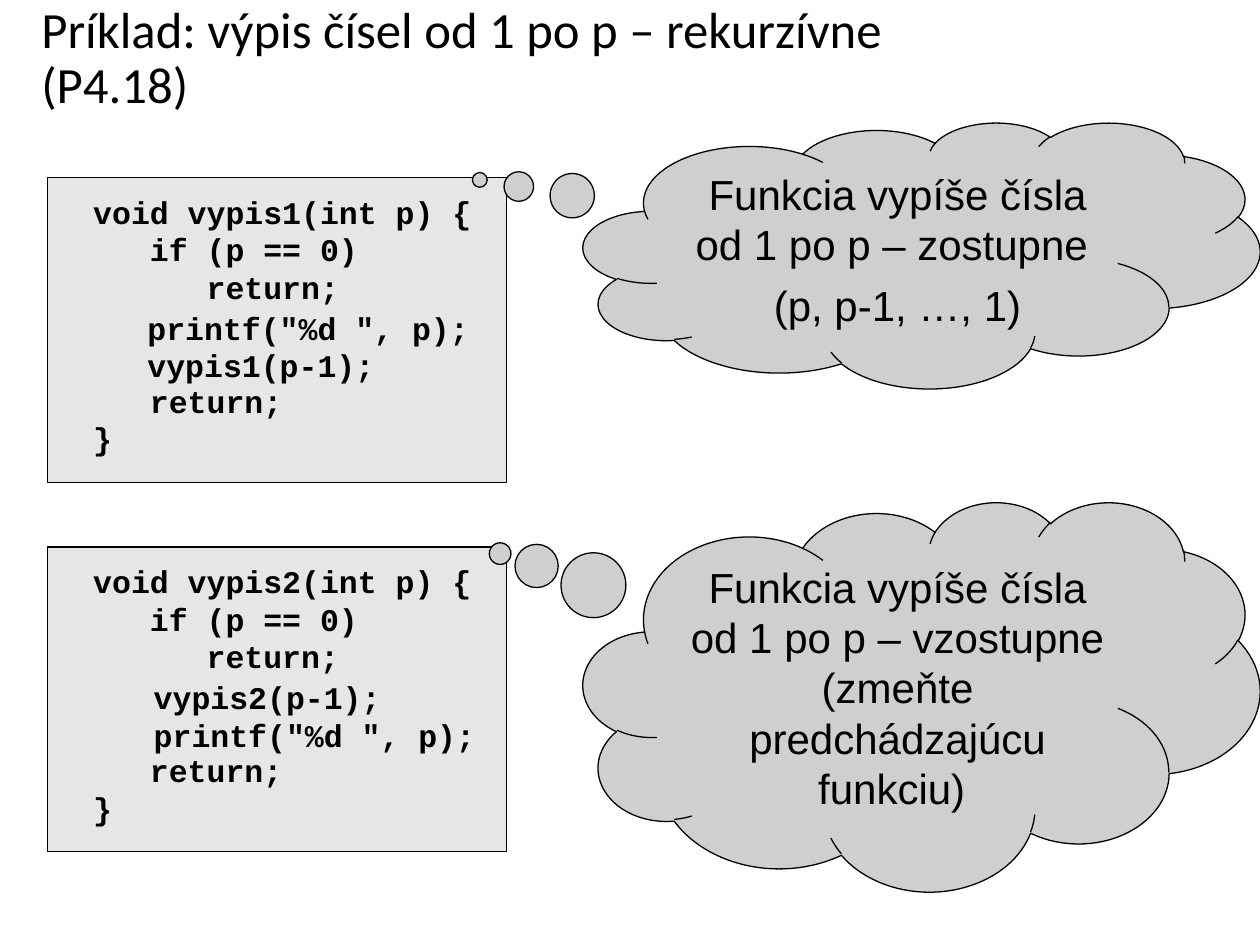
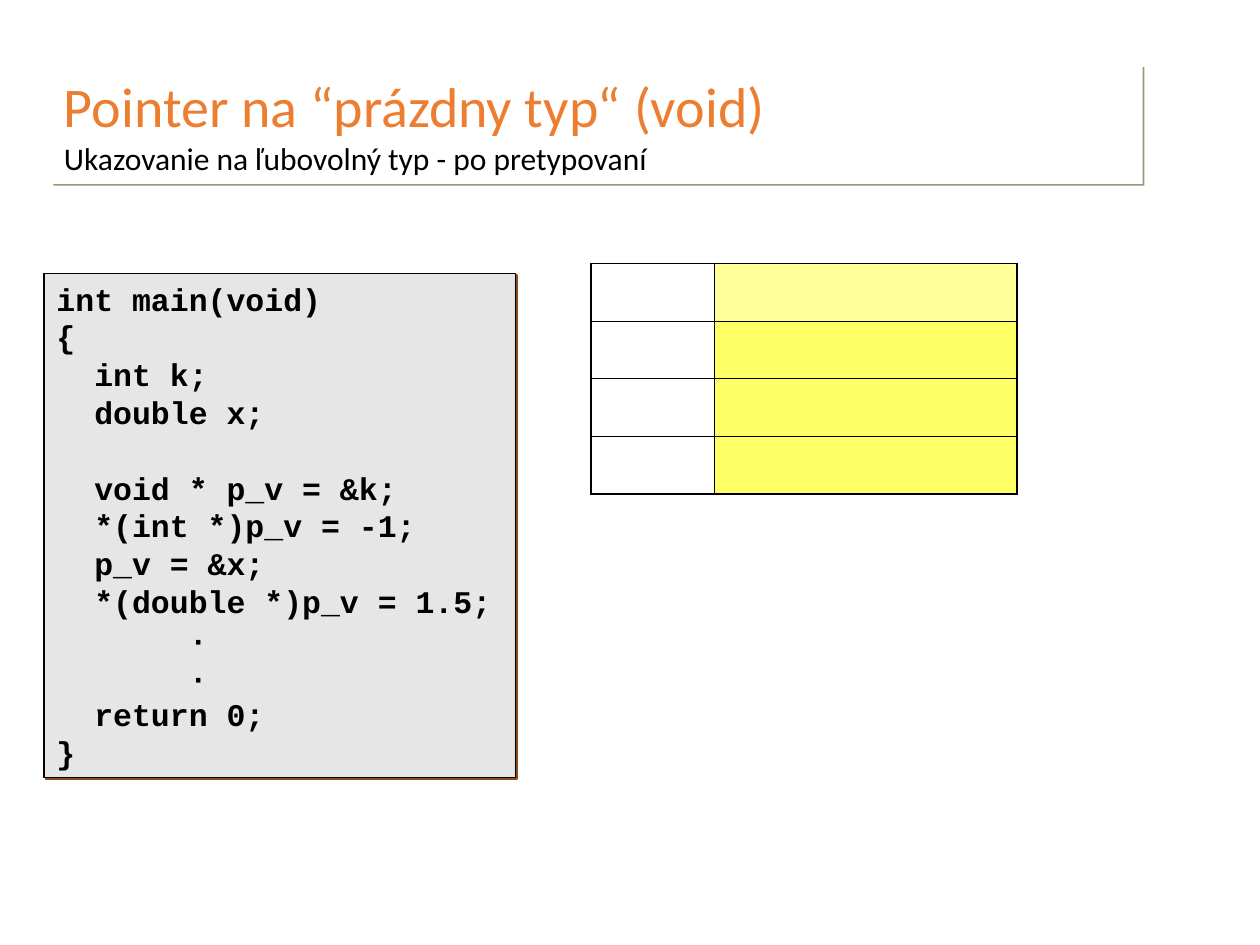
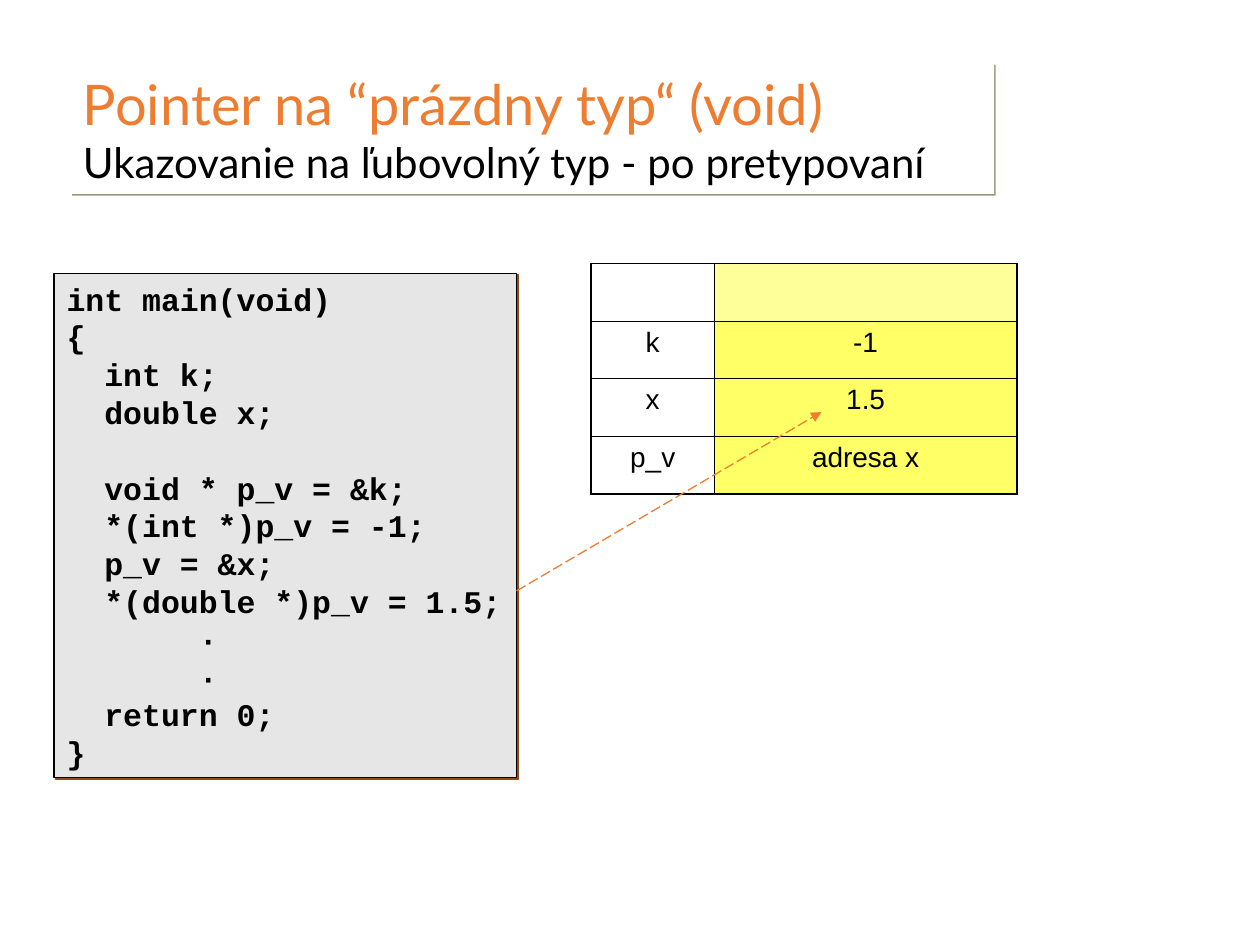
import pptx
import pptx.dml.color
import pptx.enum.dml
import pptx.enum.shapes
import pptx.enum.text
import pptx.oxml
import pptx.oxml.ns
import pptx.util
from dataclasses import dataclass
from lxml import etree

Inches = pptx.util.Inches
Pt = pptx.util.Pt
SHAPES = pptx.enum.shapes.MSO_SHAPE
ANCHOR = pptx.enum.text.MSO_ANCHOR
ALIGN = pptx.enum.text.PP_ALIGN
qn = pptx.oxml.ns.qn


@dataclass(frozen=True)
class Theme:
    black: str = "000000"
    white: str = "FFFFFF"
    accent: str = "ED7D31"
    code_fill: str = "E7E6E6"
    cloud_fill: str = "D0CECE"
    header_shadow: str = "99997A"
    code_shadow: str = "8E4B1D"
    table_top: str = "FFFF99"
    table_body: str = "FFFF66"
    title_font: str = "Calibri"
    lato_font: str = "Lato"
    code_font: str = "Courier New"
    text_font: str = "Arial"
    title_size: float = 29
    header_size: float = 32
    code_size: float = 18
    code_line: float = 21.6
    cloud_size: float = 24
    cell_size: float = 16
    thin: float = 0.75
    outer_border: float = 1.08
    inner_border: float = 0.45


THEME = Theme()

MAIN_CODE = """int main(void)
{
  int k;
  double x;

  void * p_v = &k;
  *(int *)p_v = -1;
  p_v = &x;
  *(double *)p_v = 1.5;
       ∙
       ∙
  return 0;
}"""

# The two empty lines leave room for the steps laid over the frame
FUNCTION_CODE = """void {name}(int p) {{
   if (p == 0)
      return;


   return;
}}"""


def rgb(value):
    return pptx.dml.color.RGBColor.from_string(value)


# Text
def set_frame(shape, anchor=ANCHOR.TOP, side=0.1):
    frame = shape.text_frame
    frame.word_wrap = True
    frame.vertical_anchor = anchor
    frame.margin_left = frame.margin_right = Inches(side)
    frame.margin_top = frame.margin_bottom = Inches(0.05)
    return frame


def write(paragraph, text, font, size, color=THEME.black, bold=False, align=ALIGN.LEFT):
    paragraph.alignment = align
    run = paragraph.add_run()
    run.text = text
    run.font.name = font
    run.font.size = Pt(size)
    run.font.bold = bold
    run.font.color.rgb = rgb(color)


def next_paragraph(frame, index):
    return frame.add_paragraph() if index else frame.paragraphs[0]


def write_code(frame, code):
    """Write code lines; an empty line becomes space before the next one."""
    index = empty = 0
    for line in code.split("\n"):
        if not line:
            empty += 1
            continue
        paragraph = next_paragraph(frame, index)
        if empty:
            paragraph.space_before = Pt(empty * THEME.code_line)
        write(paragraph, line, THEME.code_font, THEME.code_size, bold=True)
        index, empty = index + 1, 0


# Shapes
def add_box(slide, box, fill, line=None, kind=SHAPES.RECTANGLE):
    shape = slide.shapes.add_shape(kind, *map(Inches, box))
    shape.shadow.inherit = False
    shape.fill.solid()
    shape.fill.fore_color.rgb = rgb(fill)
    if line:
        shape.line.color.rgb = rgb(line)
        shape.line.width = Pt(THEME.thin)
    else:
        shape.line.fill.background()
    return shape


def add_hard_shadow(shape, color):
    effects = shape._element.spPr.find(qn("a:effectLst"))
    shadow = etree.SubElement(effects, qn("a:outerShdw"), blurRad="0",
                              dist=str(Pt(1.4)), dir=str(45 * 60000),
                              algn="ctr", rotWithShape="0")
    etree.SubElement(shadow, qn("a:srgbClr"), val=color)


def add_code_text(slide, box, code):
    text_box = slide.shapes.add_textbox(*map(Inches, box))
    write_code(set_frame(text_box, side=0.09), code)


def add_cloud(slide, box, tail, lines):
    cloud = add_box(slide, box, THEME.cloud_fill, THEME.black, SHAPES.CLOUD_CALLOUT)
    cloud.adjustments[0], cloud.adjustments[1] = tail
    frame = set_frame(cloud, ANCHOR.MIDDLE, 0.09)
    for index, line in enumerate(lines):
        paragraph = next_paragraph(frame, index)
        if index:
            paragraph.space_before = Pt(6)
        write(paragraph, line, THEME.text_font, THEME.cloud_size, align=ALIGN.CENTER)


def add_pointer_header(slide, box, font, subtitle_size):
    header = add_box(slide, box, THEME.white)
    add_hard_shadow(header, THEME.header_shadow)
    frame = set_frame(header)
    write(frame.paragraphs[0], "Pointer na “prázdny typ“ (void)",
          font, THEME.header_size, THEME.accent)
    write(frame.add_paragraph(), "Ukazovanie na ľubovolný typ - po pretypovaní",
          font, subtitle_size)


def add_main_code(slide, left, width):
    panel = add_box(slide, (left, 2.17, width, 4), THEME.code_fill, THEME.black)
    add_hard_shadow(panel, THEME.code_shadow)
    write_code(set_frame(panel), MAIN_CODE)


# Table of variables in memory
def set_borders(cell, outer_sides):
    properties = cell._tc.get_or_add_tcPr()
    for side in "LRTB":
        width = THEME.outer_border if side in outer_sides else THEME.inner_border
        border = etree.SubElement(properties, qn("a:ln" + side), w=str(Pt(width)))
        fill = etree.SubElement(border, qn("a:solidFill"))
        etree.SubElement(fill, qn("a:srgbClr"), val=THEME.black)


def add_memory_table(slide, rows):
    frame = slide.shapes.add_table(len(rows), 2, Inches(4.69), Inches(2.09),
                                   Inches(3.38), Inches(1.82))
    table = frame.table
    table.first_row = table.horz_banding = False
    table.columns[0].width = Inches(0.98)
    table.columns[1].width = Inches(2.4)
    last = len(rows) - 1
    for row, texts in enumerate(rows):
        table.rows[row].height = Inches(0.45 if row == 1 else 0.46)
        for column, text in enumerate(texts):
            cell = table.cell(row, column)
            set_borders(cell, "LR"[column] + "T" * (row == 0) + "B" * (row == last))
            if column:
                cell.fill.solid()
                cell.fill.fore_color.rgb = rgb(THEME.table_body if row else THEME.table_top)
            else:
                cell.fill.background()
            if text:
                write(cell.text_frame.paragraphs[0], text, THEME.text_font,
                      THEME.cell_size, align=ALIGN.CENTER)


def add_dashed_arrow(slide, start, end):
    arrow = slide.shapes.add_connector(pptx.enum.shapes.MSO_CONNECTOR.STRAIGHT,
                                       *map(Inches, start + end))
    arrow.line.color.rgb = rgb(THEME.accent)
    arrow.line.width = Pt(THEME.thin)
    arrow.line.dash_style = pptx.enum.dml.MSO_LINE.LONG_DASH
    etree.SubElement(arrow.line._get_or_add_ln(), qn("a:tailEnd"), type="triangle")
    etree.SubElement(arrow._element.spPr, qn("a:effectLst"))


# Slides
def build_recursion_slide(slide):
    title = slide.shapes.add_textbox(*map(Inches, (0.23, 0.19, 8.03, 0.57)))
    paragraph = set_frame(title, ANCHOR.MIDDLE).paragraphs[0]
    paragraph.line_spacing = 0.9
    write(paragraph, "Príklad: výpis čísel od 1 po p – rekurzívne (P4.18)",
          THEME.title_font, THEME.title_size)

    examples = [
        ("vypis1", 1.41, 'printf("%d ", p);\nvypis1(p-1);', (1.08, 2.4, 2.79, 0.69),
         (4.63, 0.97, 5.37, 2.11), (-0.653, -0.283),
         ["Funkcia vypíše čísla od 1 po p – zostupne ", "(p, p-1, …, 1)"]),
        ("vypis2", 4.34, 'vypis2(p-1);\nprintf("%d ", p);', (1.13, 5.33, 3.55, 0.69),
         (4.63, 3.98, 5.37, 3.09), (-0.623, -0.366),
         ["Funkcia vypíše čísla od 1 po p – vzostupne (zmeňte predchádzajúcu funkciu) "]),
    ]
    for name, top, steps, steps_box, cloud_box, tail, lines in examples:
        add_box(slide, (0.38, top, 3.64, 2.42), THEME.code_fill, THEME.black)
        add_code_text(slide, (0.65, top + 0.07, 3.3, 2.19),
                      FUNCTION_CODE.format(name=name))
        add_cloud(slide, cloud_box, tail, lines)
        add_code_text(slide, steps_box, steps)


def build_empty_memory_slide(slide):
    add_pointer_header(slide, (0.41, 0.52, 8.66, 0.94), THEME.title_font, 18)
    add_main_code(slide, 0.35, 3.74)
    add_memory_table(slide, [("", "")] * 4)


def build_filled_memory_slide(slide):
    add_main_code(slide, 0.43, 3.67)
    add_pointer_header(slide, (0.56, 0.5, 7.33, 1.04), THEME.lato_font, 24)
    add_memory_table(slide, [("", ""), ("k", "-1"), ("x", "1.5"), ("p_v", "adresa x")])
    add_dashed_arrow(slide, (4.1, 4.69), (6.52, 3.27))


def main():
    presentation = pptx.Presentation()
    presentation.slide_width = Inches(10)
    presentation.slide_height = Inches(7.5)
    blank = presentation.slide_layouts[6]
    for build in (build_recursion_slide, build_empty_memory_slide,
                  build_filled_memory_slide):
        build(presentation.slides.add_slide(blank))
    presentation.save("out.pptx")


if __name__ == "__main__":
    main()
